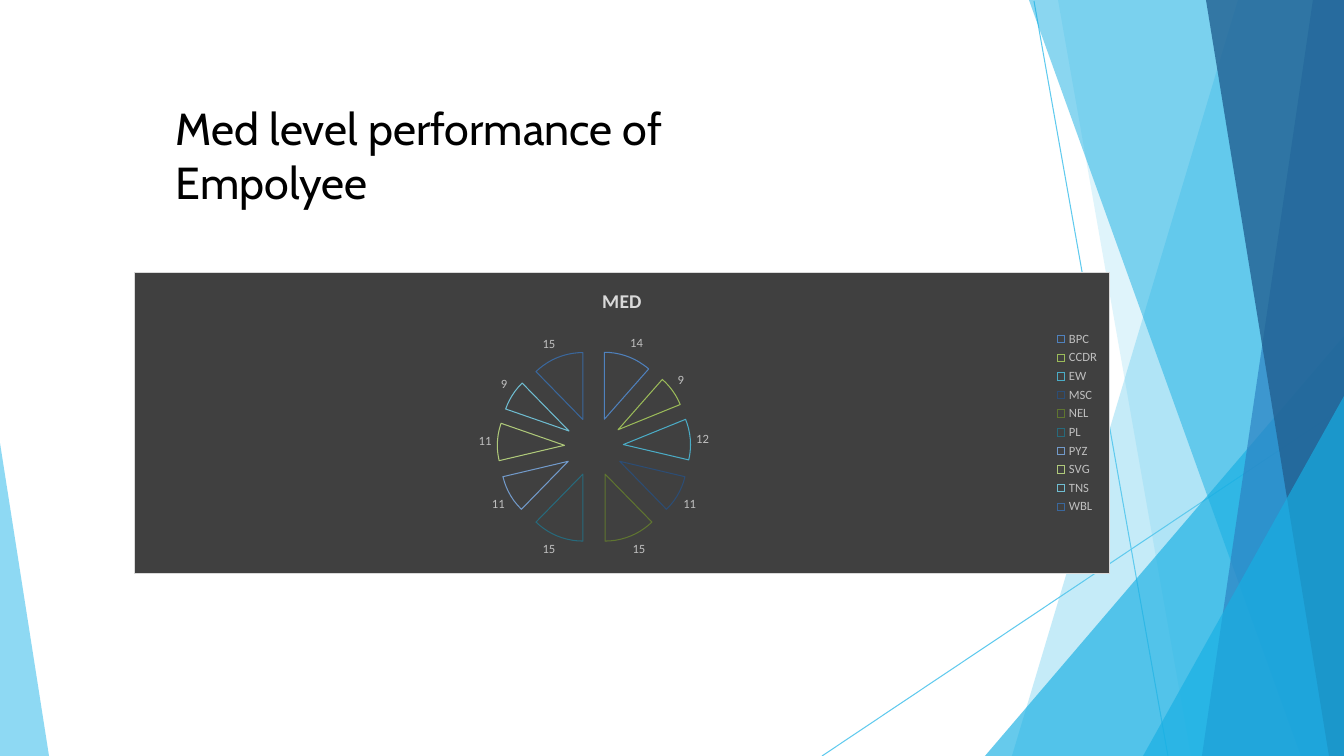
from lxml import etree
from pptx import Presentation
from pptx import util as u
from pptx.chart.data import CategoryChartData
from pptx.dml.color import RGBColor
from pptx.enum import chart as ch, shapes, text
from pptx.oxml import parse_xml
from pptx.oxml.ns import nsdecls, qn

PX = u.Inches(10) / 1008  # EMU in one px
WIDTH, HEIGHT = 1344, 756

SKY = RGBColor(0x5F, 0xCA, 0xEE)
AZURE = RGBColor(0x17, 0xAF, 0xE3)
BLUE = RGBColor(0x2D, 0x83, 0xC3)
NAVY = RGBColor(0x22, 0x61, 0x92)
BLACK = RGBColor(0, 0, 0)
CHARCOAL = RGBColor(0x40, 0x40, 0x40)
SILVER = RGBColor(0xBF, 0xBF, 0xBF)
LIGHT = RGBColor(0xD9, 0xD9, 0xD9)

# Team code, value, outline of its slice
TEAMS = [
    ("BPC", 14, RGBColor(0x4F, 0x81, 0xBD)),
    ("CCDR", 9, RGBColor(0x9B, 0xBB, 0x59)),
    ("EW", 12, RGBColor(0x4B, 0xAC, 0xC6)),
    ("MSC", 11, RGBColor(0x2C, 0x4D, 0x75)),
    ("NEL", 15, RGBColor(0x5F, 0x75, 0x30)),
    ("PL", 15, RGBColor(0x27, 0x6A, 0x7C)),
    ("PYZ", 11, RGBColor(0x72, 0x9A, 0xCA)),
    ("SVG", 11, RGBColor(0xAF, 0xC9, 0x7A)),
    ("TNS", 9, RGBColor(0x6F, 0xBD, 0xD1)),
    ("WBL", 15, RGBColor(0x3A, 0x67, 0x9C)),
]


def px(*lengths):
    return [u.Emu(round(length * PX)) for length in lengths]


def style_font(font, size, color, name="Calibri", bold=False):
    font.size, font.name, font.bold = u.Pt(size), name, bold
    font.color.rgb = color


def add_ray(slide, start, end):
    ray = slide.shapes.add_connector(shapes.MSO_CONNECTOR.STRAIGHT, *px(*start, *end))
    ray.line.color.rgb = SKY
    ray.line.width = u.Pt(0.75)
    etree.SubElement(ray._element.spPr, qn("a:effectLst"))


def add_facet(slide, corners, color, opacity):
    outline = slide.shapes.build_freeform(*corners[0], scale=PX)
    outline.add_line_segments(corners[1:], close=True)
    facet = outline.convert_to_shape()
    facet.shadow.inherit = False
    facet.line.fill.background()
    facet.fill.solid()
    facet.fill.fore_color.rgb = color
    tint = facet.fill._xPr.find(".//" + qn("a:srgbClr"))
    etree.SubElement(tint, qn("a:alpha"), val=str(opacity * 1000))


def add_backdrop(slide, left, top, width, height):
    right, bottom = left + width, top + height

    # Thin rays
    add_ray(slide, (left + 1034, top + 1), (left + 1168, bottom))
    add_ray(slide, (right, top + 407), (left + 822, bottom))

    def band(top_x, bottom_x, color, opacity):
        add_facet(slide, [(right, top), (left + top_x, top),
                          (left + bottom_x, bottom), (right, bottom)], color, opacity)

    def wedge(start_y, bottom_x, color, opacity):
        add_facet(slide, [(right, top + start_y), (left + bottom_x, bottom),
                          (right, bottom)], color, opacity)

    # Overlapping facets on the right
    band(1238, 1012, SKY, 36)
    band(1058, 1191, SKY, 20)
    wedge(336, 985, AZURE, 66)
    band(1029, 1301, AZURE, 50)
    band(1313, 1202, BLUE, 70)
    band(1206, 1329, NAVY, 80)
    wedge(396, 1143, AZURE, 66)

    # Sliver on the left
    add_facet(slide, [(left, top + 443), (left, bottom), (left + 49, bottom)], SKY, 70)


def add_heading(slide, left, top, width, height):
    frame = slide.shapes.add_textbox(*px(left, top, width, height)).text_frame
    frame.word_wrap = True
    frame.margin_left = frame.margin_right = frame.margin_top = frame.margin_bottom = 0
    frame.vertical_anchor = text.MSO_ANCHOR.TOP
    heading = frame.paragraphs[0]
    heading.text = "Med level performance of Empolyee"
    style_font(heading.font, 32, BLACK, "Cabin")


def add_performance_pie(slide, left, top, width, height):
    data = CategoryChartData()
    data.categories = [code for code, _, _ in TEAMS]
    data.add_series("MED", [value for _, value, _ in TEAMS])
    pie = slide.shapes.add_chart(
        ch.XL_CHART_TYPE.PIE, *px(left, top, width, height), data).chart
    style_font(pie.font, 10, BLACK)

    # Title and legend
    pie.has_title = True
    title = pie.chart_title.text_frame.paragraphs[0]
    title.text = "MED"
    style_font(title.font, 14, LIGHT, bold=True)
    pie.chart_title.include_in_layout = False
    pie.has_legend = True
    pie.legend.position = ch.XL_LEGEND_POSITION.RIGHT
    pie.legend.include_in_layout = False
    style_font(pie.legend.font, 9, SILVER)

    # Hollow slices, pulled apart
    plot = pie.plots[0]
    plot.vary_by_categories = True
    series = plot.series[0]
    for index, (_, _, color) in enumerate(TEAMS):
        piece = series.points[index].format
        piece.fill.background()
        piece.line.color.rgb = color
        piece.line.width = u.Pt(0.75)
    series._element.find(qn("c:dPt")).addprevious(
        parse_xml(f'<c:explosion {nsdecls("c")} val="44"/>'))

    # Values outside the slices
    labels = series.data_labels
    labels.show_value = True
    labels.position = ch.XL_LABEL_POSITION.OUTSIDE_END
    style_font(labels.font, 9, SILVER)

    # Dark panel with a light border
    pie._chartSpace.find(qn("c:chart")).addnext(parse_xml(
        f'<c:spPr {nsdecls("c", "a")}>'
        f'<a:solidFill><a:srgbClr val="{CHARCOAL}"/></a:solidFill>'
        f'<a:ln w="{u.Pt(0.75)}"><a:solidFill><a:srgbClr val="{LIGHT}"/></a:solidFill></a:ln>'
        '</c:spPr>'))


def main():
    deck = Presentation()
    deck.slide_width, deck.slide_height = px(WIDTH, HEIGHT)
    slide = deck.slides.add_slide(deck.slide_layouts[6])
    add_backdrop(slide, 0, 0, WIDTH, HEIGHT)
    add_heading(slide, 176, 101, 639, 109)
    add_performance_pie(slide, 134, 272, 976, 302)
    deck.save("out.pptx")


if __name__ == "__main__":
    main()
